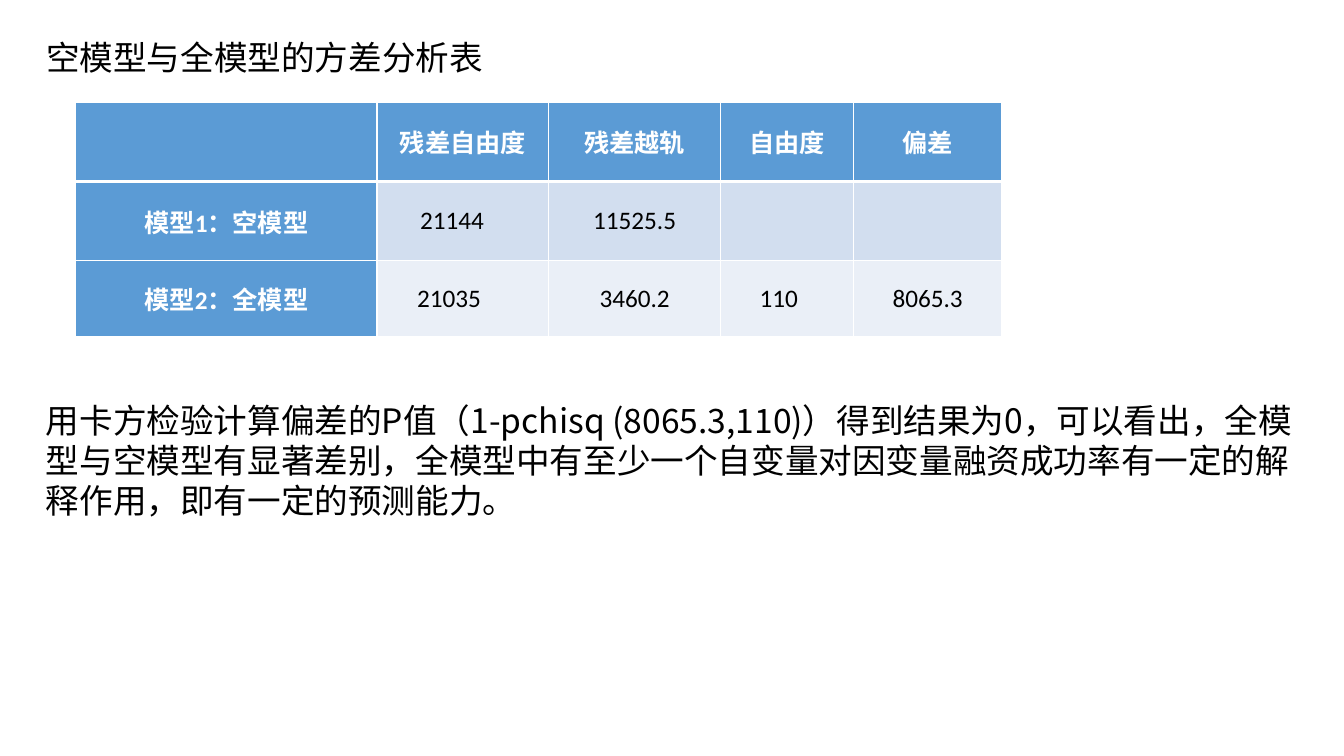
from lxml import etree
from pptx import Presentation
from pptx.dml.color import RGBColor
from pptx.enum.text import MSO_ANCHOR, MSO_AUTO_SIZE, PP_ALIGN
from pptx.oxml.ns import qn
from pptx.util import Cm, Pt

BLACK = RGBColor(0x00, 0x00, 0x00)
WHITE = RGBColor(0xFF, 0xFF, 0xFF)
HEADER_BLUE = RGBColor(0x5B, 0x9B, 0xD5)
BAND_FILLS = (RGBColor(0xEA, 0xEF, 0xF7), RGBColor(0xD2, 0xDE, 0xEF))
LEFT, CENTER = PP_ALIGN.LEFT, PP_ALIGN.CENTER
TOP, MIDDLE = MSO_ANCHOR.TOP, MSO_ANCHOR.MIDDLE
NO_AUTOFIT = MSO_AUTO_SIZE.NONE

TITLE = "空模型与全模型的方差分析表"
CONCLUSION = (
    "用卡方检验计算偏差的P值（1-pchisq (8065.3,110)）得到结果为0，可以看出，"
    "全模型与空模型有显著差别，全模型中有至少一个自变量对因变量融资成功率有一定的解释作用，"
    "即有一定的预测能力。"
)
ANOVA_ROWS = (
    ("", "残差自由度", "残差越轨", "自由度", "偏差"),
    ("模型1：空模型", "21144", "11525.5", "", ""),
    ("模型2：全模型", "21035", "3460.2", "110", "8065.3"),
)
COLUMN_WIDTHS = (7.59, 4.33, 4.33, 3.35, 3.74)
ROW_HEIGHTS = (2, 2, 1.91)
# Extra right margin, in cm, that shifts a centred value to the left
VALUE_SHIFTS = {(1, 1): 0.55, (2, 1): 0.7, (2, 3): 0.42}


class SlideWriter:
    """Holds the text style and the current slide."""

    east_asian_font = "Noto Sans CJK SC"
    table_font = "Calibri"
    body_size, table_size = Pt(24), Pt(18)
    body_pitch = Pt(28.6)
    cell_margin = 0.18

    def __init__(self, slide):
        """Start writing on the given slide."""
        self.slide = slide

    def add_run(self, paragraph, text, font, size, color, bold=False):
        """Add one run with Latin and East Asian fonts."""
        run = paragraph.add_run()
        run.text = text
        run.font.name, run.font.size = font, size
        run.font.bold = bold
        run.font.color.rgb = color
        east_asian = etree.SubElement(run.font._element, qn("a:ea"))
        east_asian.set("typeface", self.east_asian_font)

    def write_passage(self, holder, text, top, height):
        """Place a full-width text holder and fill it."""
        holder.left, holder.top = Cm(0.91), Cm(top)
        holder.width, holder.height = Cm(32.44), Cm(height)
        frame = holder.text_frame
        frame.word_wrap, frame.auto_size = True, NO_AUTOFIT
        frame.vertical_anchor = TOP
        paragraph = frame.paragraphs[0]
        paragraph.alignment = LEFT
        paragraph.line_spacing = self.body_pitch
        self.add_run(paragraph, text, self.east_asian_font, self.body_size, BLACK)

    def title(self, text, top, height):
        """Write the slide title in its placeholder."""
        self.write_passage(self.slide.shapes.title, text, top, height)

    def body(self, text, top, height):
        """Add a body passage."""
        box = self.slide.shapes.add_textbox(0, 0, Cm(1), Cm(1))
        self.write_passage(box, text, top, height)

    def border(self, cell, widths):
        """Draw white borders; widths are points for left, right, top, bottom."""
        properties = cell._tc.get_or_add_tcPr()
        for index, (side, width) in enumerate(zip("LRTB", widths)):
            line = etree.Element(qn(f"a:ln{side}"), w=str(Pt(width)))
            fill = etree.SubElement(line, qn("a:solidFill"))
            etree.SubElement(fill, qn("a:srgbClr"), val=str(WHITE))
            properties.insert(index, line)

    def table(self, rows, left, top, widths, heights, shifts):
        """Add a banded table with a header row and a header column."""
        table = self.slide.shapes.add_table(
            len(rows), len(widths), Cm(left), Cm(top), Cm(sum(widths)), Cm(sum(heights))
        ).table
        for column, width in zip(table.columns, widths):
            column.width = Cm(width)
        for row, height in zip(table.rows, heights):
            row.height = Cm(height)
        for r, values in enumerate(rows):
            for c, value in enumerate(values):
                cell = table.cell(r, c)
                is_header = r == 0 or c == 0
                cell.fill.solid()
                cell.fill.fore_color.rgb = HEADER_BLUE if is_header else BAND_FILLS[r % 2]
                self.border(cell, (1, 1, 3 if r == 1 else 1, 3 if r == 0 else 1))
                cell.vertical_anchor = MIDDLE
                cell.margin_left = Cm(self.cell_margin)
                cell.margin_right = Cm(self.cell_margin + shifts.get((r, c), 0))
                cell.margin_top = cell.margin_bottom = 0
                paragraph = cell.text_frame.paragraphs[0]
                paragraph.alignment = CENTER
                if value:
                    color = WHITE if is_header else BLACK
                    self.add_run(paragraph, value, self.table_font, self.table_size,
                                 color, is_header)


presentation = Presentation()
presentation.slide_width, presentation.slide_height = Cm(33.87), Cm(19.05)
title_only = presentation.slide_layouts[5]
writer = SlideWriter(presentation.slides.add_slide(title_only))
writer.title(TITLE, top=0.81, height=1.4)
writer.table(ANOVA_ROWS, 1.91, 2.57, COLUMN_WIDTHS, ROW_HEIGHTS, VALUE_SHIFTS)
writer.body(CONCLUSION, top=9.96, height=6.2)
presentation.save("out.pptx")
